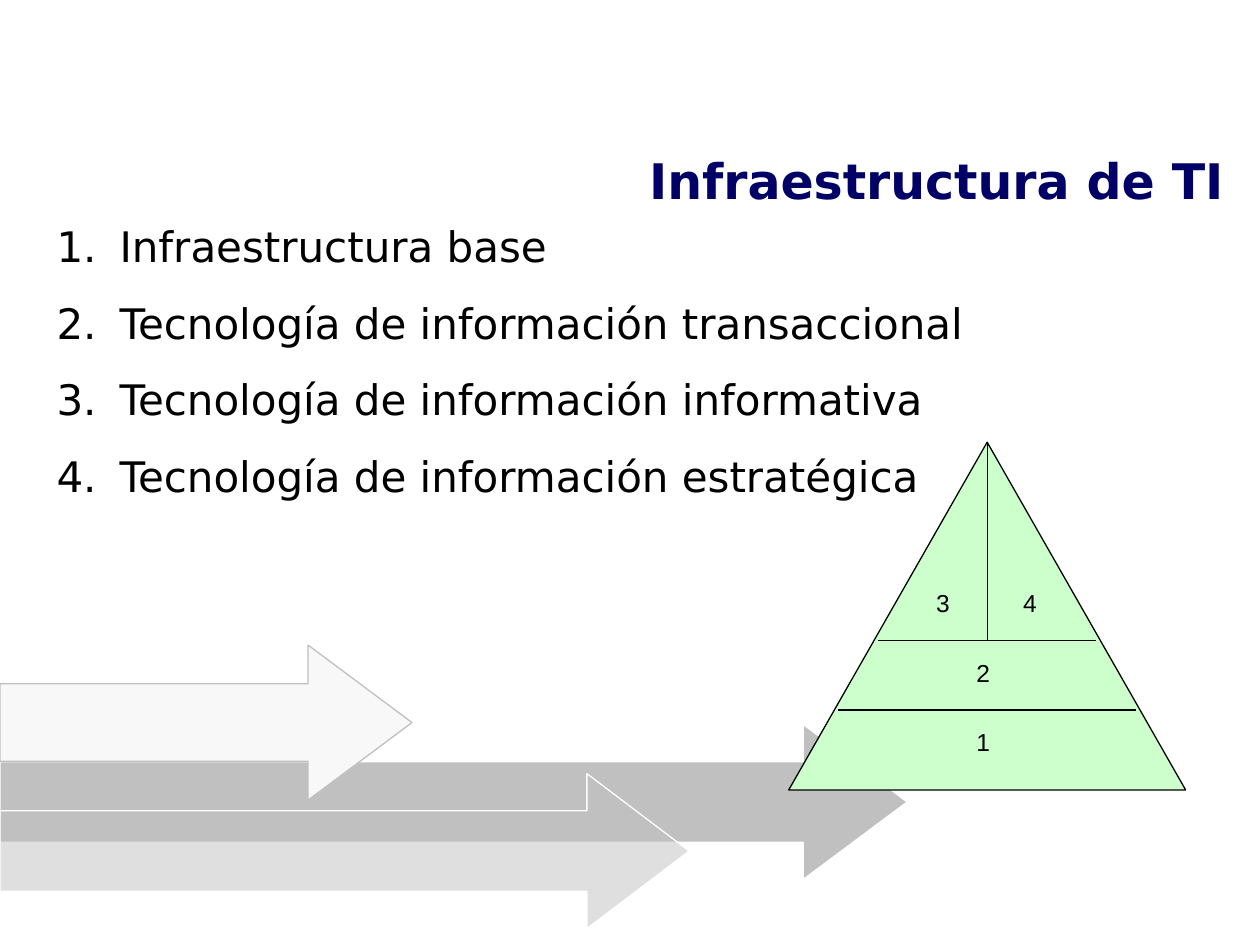
from dataclasses import dataclass

from lxml.etree import SubElement
from pptx import Presentation
from pptx.dml.color import RGBColor
from pptx.enum.shapes import MSO_CONNECTOR, MSO_SHAPE
from pptx.enum.text import MSO_ANCHOR, PP_ALIGN
from pptx.oxml.ns import qn
from pptx.util import Inches, Pt


@dataclass(frozen=True)
class Theme:
    """Colours, fonts and type sizes of the slide."""
    navy: str = "000066"
    black: str = "000000"
    white: str = "FFFFFF"
    silver: str = "C0C0C0"
    pale: str = "F8F8F8"
    green: str = "CCFFCC"
    text_font: str = "DejaVu Sans"
    label_font: str = "Arial"
    title_size: float = 28
    list_size: float = 24
    label_size: float = 14
    line_width: float = 0.75


class SlideBuilder:
    """Draws elements on a grid of 100 columns by 75 rows."""

    def __init__(self, deck, theme):
        """Add a title-only slide to the deck."""
        self.theme = theme
        self.column = deck.slide_width / 100
        self.row = deck.slide_height / 75
        self.slide = deck.slides.add_slide(deck.slide_layouts[5])

    def place(self, left, top, width, height):
        """Turn grid units into slide lengths."""
        return (int(left * self.column), int(top * self.row),
                int(width * self.column), int(height * self.row))

    def add_span(self, para, text, font, size, color, bold=False):
        """Add one formatted run to a paragraph."""
        span = para.add_run()
        span.text = text
        span.font.name = font
        span.font.size = Pt(size)
        span.font.bold = bold
        span.font.color.rgb = RGBColor.from_string(color)

    def title(self, text, area):
        """Move and fill the title placeholder."""
        box = self.slide.shapes.title
        box.left, box.top, box.width, box.height = self.place(*area)
        box.text_frame.vertical_anchor = MSO_ANCHOR.MIDDLE
        para = box.text_frame.paragraphs[0]
        para.alignment = PP_ALIGN.RIGHT
        self.add_span(para, text, self.theme.text_font, self.theme.title_size,
                      self.theme.navy, bold=True)

    def numbered_list(self, items, area):
        """Add a text box of numbered paragraphs."""
        frame = self.slide.shapes.add_textbox(*self.place(*area)).text_frame
        frame.word_wrap = True
        for index, item in enumerate(items):
            para = frame.add_paragraph() if index else frame.paragraphs[0]
            para.space_before = Pt(15 if index else 0)
            properties = para._p.get_or_add_pPr()
            properties.set("marL", str(Inches(0.5)))
            properties.set("indent", str(-Inches(0.5)))
            SubElement(properties, qn("a:buFont"), typeface="+mj-lt")
            SubElement(properties, qn("a:buAutoNum"), type="arabicPeriod")
            self.add_span(para, item, self.theme.text_font,
                          self.theme.list_size, self.theme.black)

    def shape(self, kind, area, fill, line, adjustments, opacity=100):
        """Add a preset shape with a fill and a thin outline."""
        shape = self.slide.shapes.add_shape(kind, *self.place(*area))
        shape.shadow.inherit = False
        shape.fill.solid()
        shape.fill.fore_color.rgb = RGBColor.from_string(fill)
        shape.line.color.rgb = RGBColor.from_string(line)
        shape.line.width = Pt(self.theme.line_width)
        for index, value in enumerate(adjustments):
            shape.adjustments[index] = value
        if opacity < 100:
            color = shape._element.spPr.find(qn("a:solidFill")).find(qn("a:srgbClr"))
            SubElement(color, qn("a:alpha"), val=str(opacity * 1000))

    def line(self, start, end):
        """Add a thin straight line between two grid points."""
        line = self.slide.shapes.add_connector(
            MSO_CONNECTOR.STRAIGHT, *self.place(*start, *end))
        line.line.color.rgb = RGBColor.from_string(self.theme.black)
        line.line.width = Pt(self.theme.line_width)
        SubElement(line._element.spPr, qn("a:effectLst"))

    def label(self, text, left, top, inset):
        """Add a small label with its own left inset."""
        box = self.slide.shapes.add_textbox(*self.place(left, top, 4.7, 3.4))
        box.text_frame.word_wrap = True
        box.text_frame.margin_left = Inches(inset)
        self.add_span(box.text_frame.paragraphs[0], text, self.theme.label_font,
                      self.theme.label_size, self.theme.black)

    def pyramid(self, left, top, width, height, levels):
        """Add a triangle cut by level lines and a line from its apex."""
        self.shape(MSO_SHAPE.ISOSCELES_TRIANGLE, (left, top, width, height),
                   self.theme.green, self.theme.black, [0.5])
        middle = left + width / 2
        for level in levels:
            half = (level - 0.02) * width / 2
            depth = top + level * height
            self.line((middle - half, depth), (middle + half, depth))
        self.line((middle, top), (middle, top + levels[0] * height))


def main():
    """Build and save the slide."""
    deck = Presentation()
    deck.slide_width, deck.slide_height = Inches(10), Inches(7.5)
    theme = Theme()
    page = SlideBuilder(deck, theme)
    arrows = [
        (57.5, 72, theme.silver, theme.white, [0.52, 0.67], 100),
        (61.4, 54.7, theme.silver, theme.white, [0.52, 0.66], 50),
        (51.2, 32.7, theme.pale, theme.silver, [0.5, 0.67], 100),
    ]
    for top, width, fill, line, adjustments, opacity in arrows:
        page.shape(MSO_SHAPE.RIGHT_ARROW, (0, top, width, 12.3),
                   fill, line, adjustments, opacity)
    page.numbered_list([
        "Infraestructura base",
        "Tecnología de información transaccional",
        "Tecnología de información informativa",
        "Tecnología de información estratégica",
    ], (3.5, 17, 92.1, 36.5))
    page.title("Infraestructura de TI", (26.4, 9.9, 71.7, 8.7))
    page.pyramid(62.6, 35.1, 31.5, 27.6, [0.57, 0.77])
    for text, left, top, inset in [
        ("2", 76, 51.7, 0.15), ("1", 76, 57.2, 0.15),
        ("3", 72.8, 46.2, 0.15), ("4", 79.1, 46.2, 0.21),
    ]:
        page.label(text, left, top, inset)
    deck.save("out.pptx")


if __name__ == "__main__":
    main()
